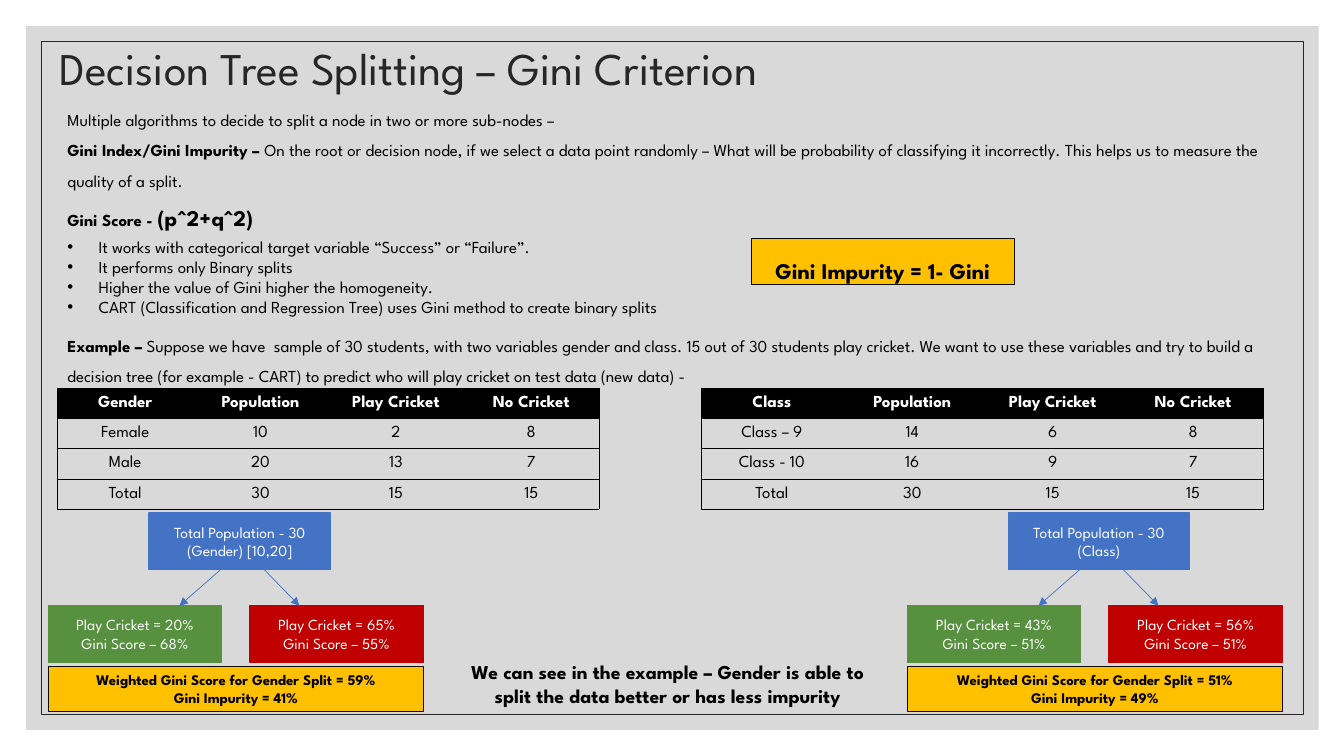
from lxml import etree
from pptx import Presentation
from pptx.dml.color import RGBColor
from pptx.enum.shapes import MSO_CONNECTOR, MSO_SHAPE
from pptx.enum.text import MSO_ANCHOR, MSO_AUTO_SIZE, PP_ALIGN
from pptx.oxml.ns import qn
from pptx.util import Inches, Pt

WIDTH, HEIGHT = Inches(13.33), Inches(7.5)
FONT = "League Spartan"
BLACK, WHITE, INK, OUTLINE = "000000", "FFFFFF", "262626", "0D0D0D"
GREY, GOLD, BLUE, GREEN, RED = "D9D9D9", "FFC000", "4472C4", "57903F", "C00000"
RECTANGLE, STRAIGHT = MSO_SHAPE.RECTANGLE, MSO_CONNECTOR.STRAIGHT
TOP, MIDDLE = MSO_ANCHOR.TOP, MSO_ANCHOR.MIDDLE
LEFT, CENTER = PP_ALIGN.LEFT, PP_ALIGN.CENTER
TITLE_ONLY = 5

INTRODUCTION = [
    [("Multiple algorithms to decide to split a node in two or more sub-nodes –", 12, False)],
    [("Gini Index/Gini Impurity – ", 12, True),
     ("On the root or decision node, if we select a data point randomly – What will be "
      "probability of classifying it incorrectly. This helps us to measure the quality "
      "of a split.", 12, False)],
    [("Gini Score - ", 12, True), ("(p^2+q^2)", 16, True)],
]
BULLETS = [
    "It works with categorical target variable “Success” or “Failure”.",
    "It performs only Binary splits",
    "Higher the value of Gini higher the homogeneity.",
    "CART (Classification and Regression Tree) uses Gini method to create binary splits",
]
EXAMPLE = [
    ("Example –", 12, True),
    (" Suppose we have  sample of 30 students, with two variables gender and class. 15 out of "
     "30 students play cricket. We want to use these variables and try to build a decision tree "
     "(for example - CART) to predict who will play cricket on test data (new data) -", 12, False),
]
COUNTS = ["Population", "Play Cricket", "No Cricket"]
TOTAL = ["Total", "30", "15", "15"]
GENDER_ROWS = [["Gender", *COUNTS], ["Female", "10", "2", "8"], ["Male", "20", "13", "7"], TOTAL]
CLASS_ROWS = [["Class", *COUNTS], ["Class – 9", "14", "6", "8"], ["Class - 10", "16", "9", "7"], TOTAL]


def color(value):
    return RGBColor.from_string(value)


def across(share):
    return int(WIDTH * share / 100)


def down(share):
    return int(HEIGHT * share / 100)


def place(left, top, width, height):
    return across(left), down(top), across(width), down(height)


def style_font(font, size, fill, bold=False):
    font.name, font.size, font.bold = FONT, Pt(size), bold
    font.color.rgb = color(fill)


def write_lines(frame, lines, size, fill, bold=False, align=CENTER, anchor=MIDDLE):
    frame.word_wrap = True
    frame.vertical_anchor = anchor
    for index, line in enumerate(lines):
        paragraph = frame.add_paragraph() if index else frame.paragraphs[0]
        paragraph.text = line
        paragraph.alignment = align
        style_font(paragraph.font, size, fill, bold)


def add_box(slide, area, fill, line, weight):
    shape = slide.shapes.add_shape(RECTANGLE, *place(*area))
    shape.shadow.inherit = False
    if fill:
        shape.fill.solid()
        shape.fill.fore_color.rgb = color(fill)
    else:
        shape.fill.background()
    if line:
        shape.line.color.rgb = color(line)
        shape.line.width = Pt(weight)
    else:
        shape.line.fill.background()
    return shape


def add_node(slide, area, fill, lines):
    node = add_box(slide, area, fill, fill, 1)
    write_lines(node.text_frame, lines, 11, WHITE)


def add_callout(slide, area, lines, size):
    callout = add_box(slide, area, GOLD, OUTLINE, 0.75)
    write_lines(callout.text_frame, lines, size, BLACK, True, anchor=TOP)
    return callout


def add_arrow(slide, start, end):
    arrow = slide.shapes.add_connector(
        STRAIGHT, across(start[0]), down(start[1]), across(end[0]), down(end[1]))
    arrow.line.color.rgb = color(BLUE)
    arrow.line.width = Pt(0.5)
    etree.SubElement(arrow.line._get_or_add_ln(), qn("a:tailEnd"), type="triangle")
    etree.SubElement(arrow.element.spPr, qn("a:effectLst"))


def add_runs(paragraph, runs):
    for text, size, bold in runs:
        run = paragraph.add_run()
        run.text = text
        style_font(run.font, size, BLACK, bold)


def add_explanation(slide):
    frame = slide.shapes.add_textbox(*place(4.28, 12.53, 92.65, 38.67)).text_frame
    frame.word_wrap = True
    for index, runs in enumerate(INTRODUCTION):
        paragraph = frame.add_paragraph() if index else frame.paragraphs[0]
        paragraph.line_spacing = 1.5
        add_runs(paragraph, runs)
    paragraph.space_after = Pt(4)
    for text in BULLETS:
        paragraph = frame.add_paragraph()
        properties = paragraph._p.get_or_add_pPr()
        properties.set("marL", str(Inches(0.31)))
        properties.set("indent", str(-Inches(0.31)))
        etree.SubElement(properties, qn("a:buFont"), typeface="Arial")
        etree.SubElement(properties, qn("a:buChar"), char="•")
        paragraph.text = text
        style_font(paragraph.font, 12, BLACK)
    paragraph.space_after = Pt(6)
    paragraph = frame.add_paragraph()
    paragraph.line_spacing = 1.5
    add_runs(paragraph, EXAMPLE)


def set_borders(cell, visible):
    properties = cell._tc.get_or_add_tcPr()
    for side in ("L", "R", "T", "B"):
        line = etree.SubElement(properties, qn(f"a:ln{side}"), w=str(Pt(0.5)))
        if side in visible:
            fill = etree.SubElement(line, qn("a:solidFill"))
            etree.SubElement(fill, qn("a:srgbClr"), val=BLACK)
        else:
            etree.SubElement(line, qn("a:noFill"))


def add_counts_table(slide, area, rows):
    last = len(rows[0]) - 1
    table = slide.shapes.add_table(len(rows), last + 1, *place(*area)).table
    for row_index, row in enumerate(rows):
        header = row_index == 0
        for column_index, text in enumerate(row):
            cell = table.cell(row_index, column_index)
            sides = "TB" + "L" * (column_index == 0) + "R" * (column_index == last)
            set_borders(cell, sides)
            if header:
                cell.fill.solid()
                cell.fill.fore_color.rgb = color(BLACK)
            else:
                cell.fill.background()
            cell.vertical_anchor = MIDDLE
            paragraph = cell.text_frame.paragraphs[0]
            paragraph.text = text
            paragraph.alignment = CENTER
            style_font(paragraph.font, 12, WHITE if header else BLACK, header)


def add_tree(slide, left, split, leaves, weighted, impurity):
    add_node(slide, (left + 7.5, 67.87, 13.5, 7.47), BLUE, ["Total Population - 30", split])
    branches = ((0, GREEN, 12.83, 9.75), (15, RED, 16.05, 18.68))
    for (offset, fill, start, end), (play, score) in zip(branches, leaves):
        lines = [f"Play Cricket = {play}%", f"Gini Score – {score}%"]
        add_node(slide, (left + offset, 80.13, 12.9, 7.47), fill, lines)
        add_arrow(slide, (left + start, 75.33), (left + end, 80.13))
    add_callout(slide, (left, 88.13, 27.9, 6),
                [f"Weighted Gini Score for Gender Split = {weighted}%",
                 f"Gini Impurity = {impurity}%"], 10.5)


def add_title(slide, text):
    title = slide.shapes.title
    title.left, title.top, title.width, title.height = place(3.68, 5.33, 82.52, 8.13)
    title.text_frame.auto_size = MSO_AUTO_SIZE.NONE
    write_lines(title.text_frame, [text], 32.4, INK, align=LEFT)
    title.text_frame.paragraphs[0].line_spacing = 0.9
    title.element.getparent().append(title.element)


def main():
    presentation = Presentation()
    presentation.slide_width, presentation.slide_height = WIDTH, HEIGHT
    slide = presentation.slides.add_slide(presentation.slide_layouts[TITLE_ONLY])
    add_box(slide, (1.95, 3.47, 96.17, 93.07), GREY, None, 0)
    add_box(slide, (3.08, 5.47, 93.92, 89.07), None, INK, 0.5)
    add_title(slide, "Decision Tree Splitting – Gini Criterion")
    add_explanation(slide)
    add_counts_table(slide, (4.28, 51.33, 40.29, 16), GENDER_ROWS)
    add_counts_table(slide, (52.21, 51.33, 41.79, 16), CLASS_ROWS)
    formula = add_callout(slide, (55.89, 31.6, 19.58, 6), ["Gini Impurity = 1- Gini"], 16)
    formula.text_frame.paragraphs[0].line_spacing = 1.5
    add_tree(slide, 3.6, "(Gender) [10,20]", [(20, 68), (65, 55)], 59, 41)
    add_tree(slide, 67.52, "(Class)", [(43, 51), (56, 51)], 51, 49)
    conclusion = slide.shapes.add_textbox(*place(33.23, 86.67, 32.93, 7.6))
    write_lines(conclusion.text_frame,
                ["We can see in the example – Gender is able to split the data better "
                 "or has less impurity"], 14, BLACK, True, anchor=TOP)
    presentation.save("out.pptx")


if __name__ == "__main__":
    main()
